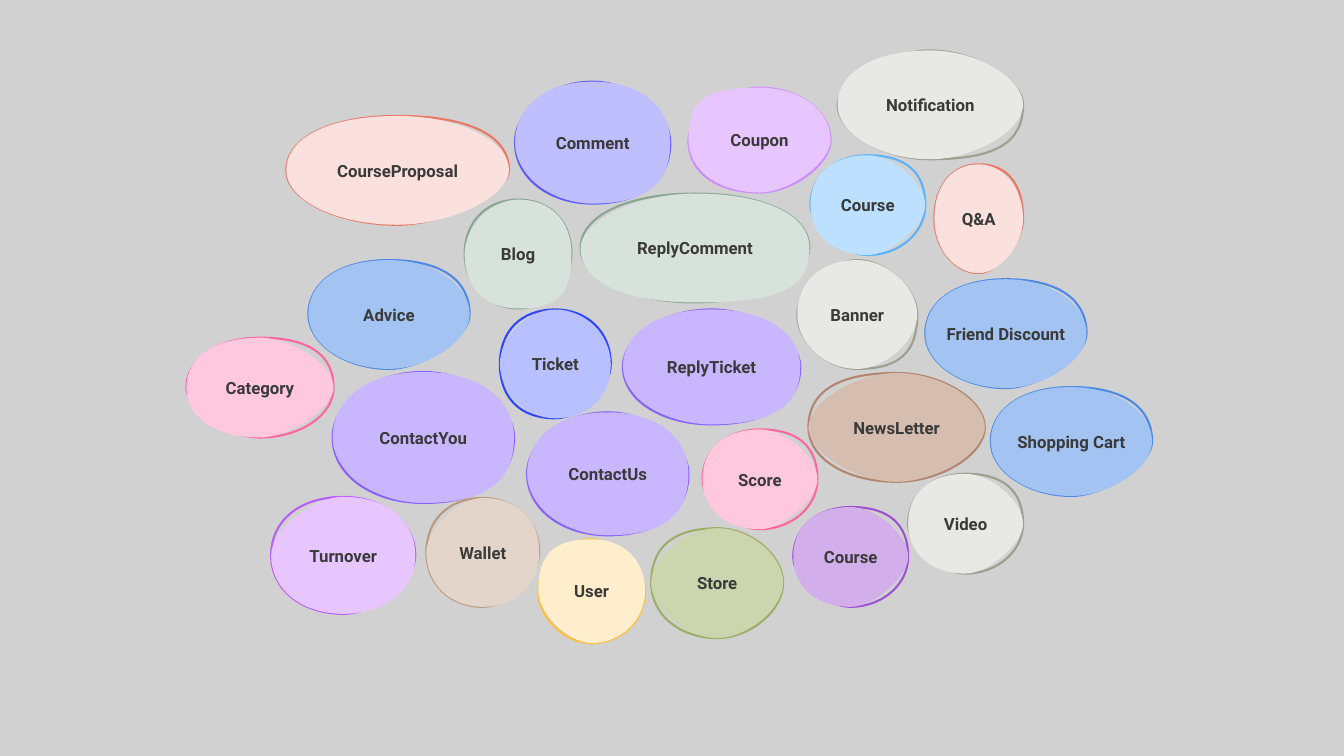
import copy

import pptx
import pptx.dml.color
import pptx.enum.text
import pptx.oxml.ns
import pptx.util
from lxml import etree

BACKGROUND = "D1D1D1"
TEXT_COLOR = "3A3A3A"
FONT = "Roboto"
UNIT = pptx.util.Pt(0.72)  # one grid step; bubble boxes count grid steps

# How far each corner bulges, in percent, for the stroke and for the fill:
# top left, top right, bottom right, bottom left. An even ellipse has 55.
BULGES = {
    "heavy": ((44, 47, 70, 51), (60, 50, 47, 54)),
    "oval": ((60, 64, 42, 54), (61, 55, 48, 55)),
    "round": ((58, 66, 55, 45), (62, 44, 40, 60)),
    "wide": ((54, 50, 63, 57), (60, 60, 68, 53)),
    "leaf": ((59, 60, 53, 56), (50, 61, 75, 62)),
    "drop": ((66, 51, 50, 57), (46, 50, 45, 46)),
    "ring": ((61, 58, 46, 63), (50, 53, 60, 54)),
    "egg": ((50, 41, 56, 51), (71, 60, 55, 43)),
    "bean": ((44, 55, 46, 61), (77, 57, 42, 57)),
    "pear": ((60, 57, 46, 58), (43, 61, 59, 58)),
}

# Label, bulge, (left, top, width, height), fill, line; from back to front.
BUBBLES = [
    ("Banner", "heavy", (791, 258, 119, 108), "E8E8E4", "9F9F8F"),
    ("Ticket", "ring", (496, 307, 110, 108), "B8C0FF", "2D46FF"),
    ("ReplyTicket", "wide", (618, 307, 176, 114), "C8B6FF", "8761FF"),
    ("Comment", "wide", (511, 81, 154, 121), "BFBFFF", "5B5BFF"),
    ("ReplyComment", "leaf", (576, 192, 227, 108), "D8E2DC", "88A694"),
    ("Blog", "leaf", (461, 198, 106, 108), "D8E2DC", "88A694"),
    ("ContactYou", "wide", (330, 369, 180, 130), "C8B6FF", "8761FF"),
    ("ContactUs", "wide", (523, 409, 160, 122), "C8B6FF", "8761FF"),
    ("NewsLetter", "drop", (802, 370, 175, 108), "D5BDAF", "B2866E"),
    ("Store", "drop", (646, 524, 131, 109), "CCD5AE", "9DAF65"),
    ("Course", "round", (787, 503, 114, 99), "D2AFEA", "9E52D2"),
    ("Friend Discount", "oval", (918, 277, 160, 108), "A3C4F3", "4B8AE7"),
    ("Coupon", "bean", (683, 87, 141, 104), "E7C6FF", "CD8BFF"),
    ("Shopping Cart", "oval", (983, 384, 160, 108), "A3C4F3", "4B8AE7"),
    ("Advice", "oval", (306, 258, 160, 108), "A3C4F3", "4B8AE7"),
    ("User", "egg", (534, 535, 106, 103), "FFEECC", "FFBE3B"),
    ("Wallet", "pear", (423, 494, 112, 108), "E3D5CA", "BB997F"),
    ("Turnover", "pear", (269, 493, 143, 116), "E7C6FF", "BA5DFF"),
    ("CourseProposal", "oval", (284, 115, 221, 108), "FAE1DD", "E97865"),
    ("Video", "round", (901, 470, 114, 99), "E8E8E4", "9E9E8E"),
    ("Course", "round", (804, 154, 114, 99), "BDE0FE", "5AB3FC"),
    ("Score", "round", (697, 426, 114, 99), "FFC8DD", "FF65A0"),
    ("Category", "round", (185, 335, 146, 99), "FFC8DD", "FF65A0"),
    ("Notification", "heavy", (831, 50, 184, 108), "E8E8E4", "9F9F8F"),
    ("Q&A", "oval", (927, 163, 88, 108), "FAE1DD", "E97865"),
]


def paint(color_format, hex_color):
    color_format.rgb = pptx.dml.color.RGBColor.from_string(hex_color)


def toward(start, corner, percent):
    return tuple(round(a + (b - a) * percent / 100) for a, b in zip(start, corner))


def bend(contour, anchors, corners, bulges):
    """Replace the straight sides of a contour by four Bezier quarters."""
    for side in list(contour)[1:]:
        contour.remove(side)
    ends = anchors[1:] + anchors[:1]
    for start, end, corner, bulge in zip(anchors, ends, corners, bulges):
        curve = etree.SubElement(contour, pptx.oxml.ns.qn("a:cubicBezTo"))
        for x, y in (toward(start, corner, bulge), toward(end, corner, bulge), end):
            etree.SubElement(curve, pptx.oxml.ns.qn("a:pt"), x=str(x), y=str(y))
    etree.SubElement(contour, pptx.oxml.ns.qn("a:close"))


def add_bubble(slide, label, bulge, box, fill, line):
    left, top, width, height = (UNIT * steps for steps in box)
    anchors = [(0, height // 2), (width // 2, 0),
               (width, height // 2), (width // 2, height)]
    corners = [(0, 0), (width, 0), (width, height), (0, height)]
    builder = slide.shapes.build_freeform(*anchors[0])
    builder.add_line_segments(anchors[1:], close=True)
    shape = builder.convert_to_shape(left, top)

    stroke_contour = next(shape.element.iter(pptx.oxml.ns.qn("a:path")))
    fill_contour = copy.deepcopy(stroke_contour)
    stroke_contour.addnext(fill_contour)
    stroke_contour.set("fill", "none")
    fill_contour.set("stroke", "0")
    for contour, bulges in zip((stroke_contour, fill_contour), BULGES[bulge]):
        bend(contour, anchors, corners, bulges)

    shape.shadow.inherit = False
    shape.fill.solid()
    paint(shape.fill.fore_color, fill)
    paint(shape.line.color, line)
    shape.line.width = pptx.util.Pt(1.5)

    frame = shape.text_frame
    frame.word_wrap = True
    frame.vertical_anchor = pptx.enum.text.MSO_ANCHOR.MIDDLE
    paragraph = frame.paragraphs[0]
    paragraph.alignment = pptx.enum.text.PP_ALIGN.CENTER
    run = paragraph.add_run()
    run.text = label
    run.font.name = FONT
    run.font.size = pptx.util.Pt(12)
    run.font.bold = True
    paint(run.font.color, TEXT_COLOR)


def main():
    presentation = pptx.Presentation()
    presentation.slide_width = pptx.util.Pt(960)
    presentation.slide_height = pptx.util.Pt(540)
    slide = presentation.slides.add_slide(presentation.slide_layouts[6])
    slide.background.fill.solid()
    paint(slide.background.fill.fore_color, BACKGROUND)
    for bubble in BUBBLES:
        add_bubble(slide, *bubble)
    presentation.save("out.pptx")


if __name__ == "__main__":
    main()
